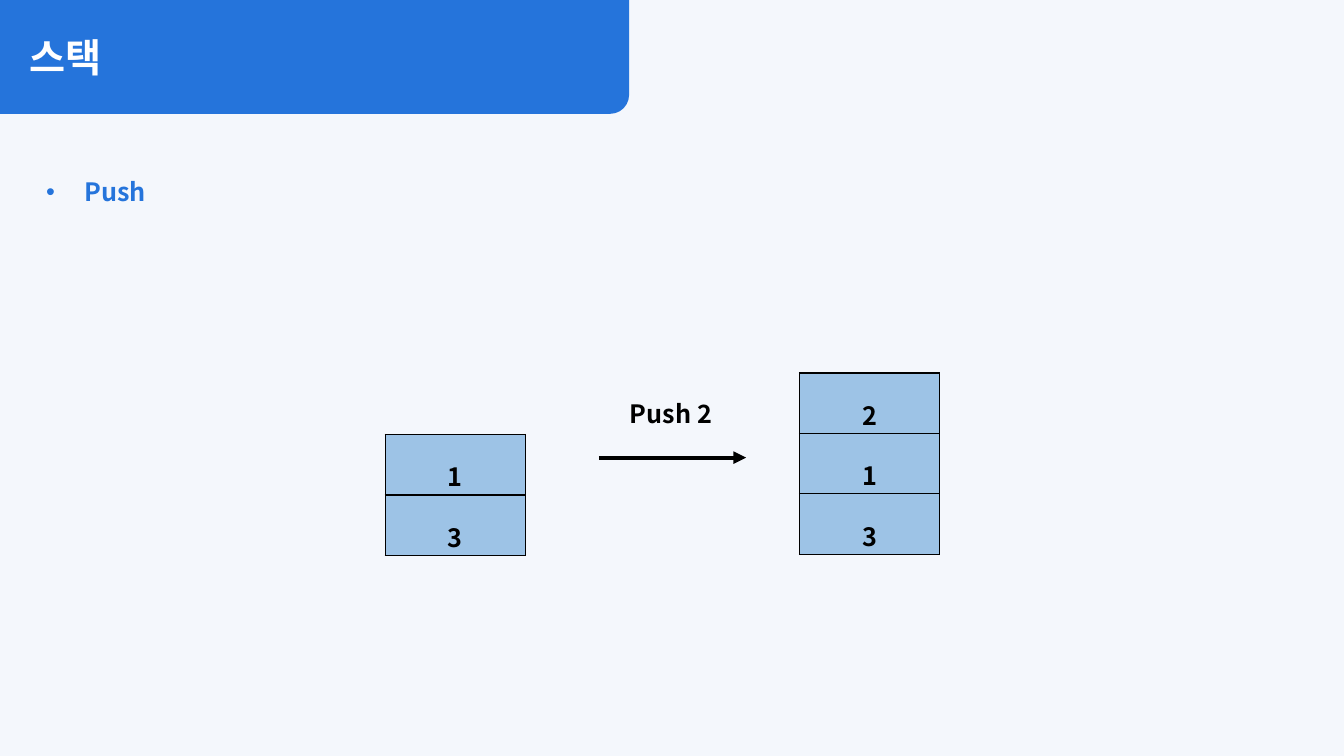
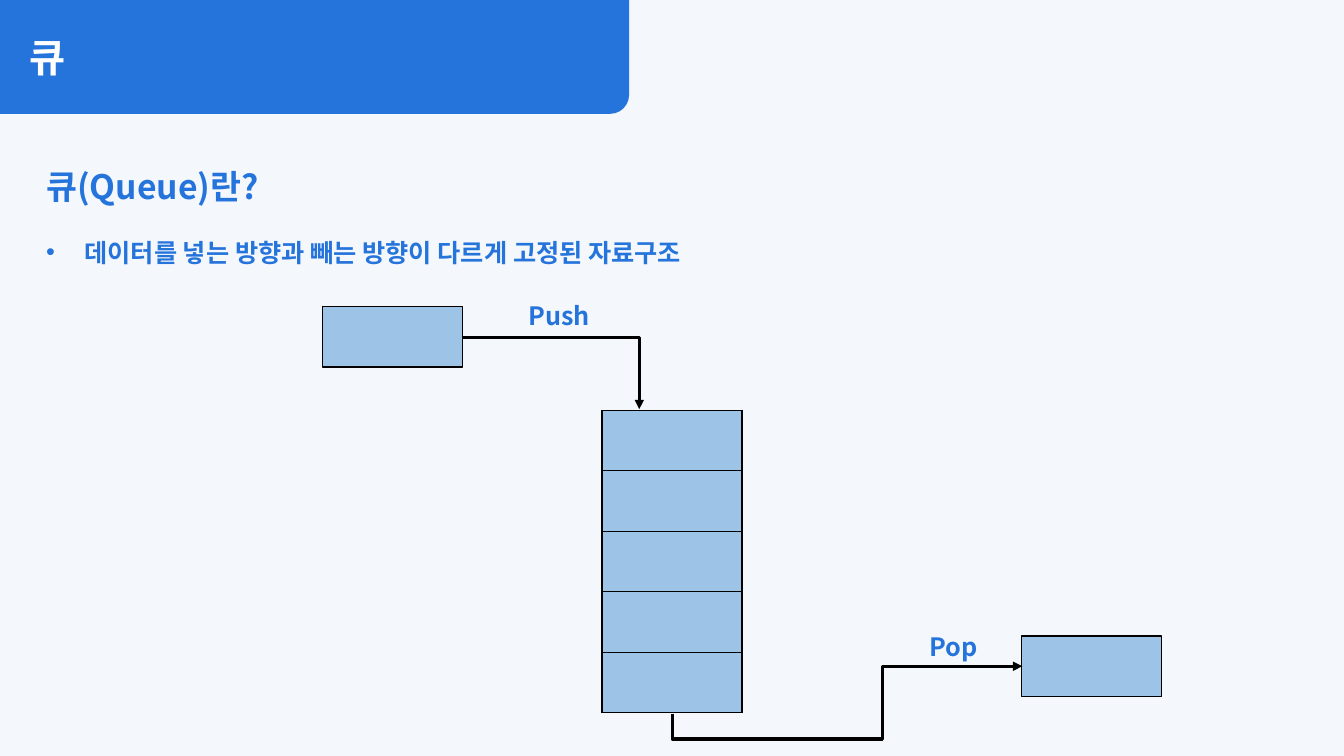
"""Build two slides on the stack and queue data structures."""
from lxml.etree import SubElement
from pptx import Presentation
from pptx.dml.color import RGBColor
from pptx.enum.shapes import MSO_CONNECTOR as LINK, MSO_SHAPE as SHAPE
from pptx.enum.text import MSO_ANCHOR as ANCHOR, PP_ALIGN as ALIGN
from pptx.oxml.ns import qn
from pptx.util import Inches, Pt

FONT = "Noto Sans CJK KR"
BLUE, CELL, BLACK, WHITE, PALE = "2574DB", "9DC3E6", "000000", "FFFFFF", "F4F7FC"
CELL_WIDTH, CELL_HEIGHT = 1.39, 0.6
BODY_LEFT, BODY_TOP, BODY_WIDTH = 0.36, 1.4, 12.61

STACK = {
    "title": "스택",
    "body": [{"text": "Push", "spacing": 2, "bullet": True}],
    "tables": [(7.93, 3.7, ["2", "1", "3"]), (3.82, 4.31, ["1", "3"])],
    "labels": [("Push 2", (5.96, 3.9, 1.39, 0.4), BLACK)],
    "arrows": [{"ends": (5.94, 4.54, 7.4, 4.54), "width": 3}],
}
QUEUE = {
    "title": "큐",
    "body": [
        {"text": "큐(Queue)란?", "size": 24, "spacing": 1.5},
        {"text": "데이터를 넣는 방향과 빼는 방향이 다르게 고정된 자료구조",
         "spacing": 2, "bullet": True},
    ],
    "tables": [(5.97, 4.07, [""] * 5)],
    "boxes": [(3.2, 3.04), (10.13, 6.31)],
    "labels": [("Push", (5.04, 2.93, 1.01, 0.41), BLUE),
               ("Pop", (8.95, 6.21, 1.01, 0.41), BLUE)],
    "arrows": [
        {"ends": (4.59, 3.35, 6.34, 4.06), "width": 2.25,
         "preset": "bentConnector3", "adjust": [100000]},
        {"ends": (8.64, 8.58, 8.17, 5.11), "width": 2.25, "turn": 90,
         "preset": "bentConnector4", "adjust": [-53600, 60000]},
    ],
}


def color(value):
    """Return the colour for a hex string."""
    return RGBColor.from_string(value)


def paint(target, value):
    """Give a shape, cell or background a solid fill."""
    target.fill.solid()
    target.fill.fore_color.rgb = color(value)


def write(para, text, ink=BLUE, size=18, spacing=1, align=ALIGN.LEFT, bullet=False):
    """Write one bold paragraph, with a hanging bullet if asked."""
    para.text = text
    para.alignment, para.line_spacing = align, spacing
    font = para.font
    font.name, font.size, font.bold = FONT, Pt(size), True
    font.color.rgb = color(ink)
    properties = para._p.pPr
    defaults = properties.find(qn("a:defRPr"))
    SubElement(defaults, qn("a:ea"), typeface=FONT)
    if bullet:
        properties.set("marL", str(Inches(0.38)))
        properties.set("indent", str(-Inches(0.38)))
        marks = [SubElement(properties, qn("a:buFont"), typeface="Arial"),
                 SubElement(properties, qn("a:buChar"), char="•")]
        for mark in marks:
            defaults.addprevious(mark)


def add_text(page, place, paragraphs):
    """Add a wrapping text box with one paragraph per entry."""
    frame = page.shapes.add_textbox(*map(Inches, place)).text_frame
    frame.word_wrap = True
    for index, entry in enumerate(paragraphs):
        write(frame.add_paragraph() if index else frame.paragraphs[0], **entry)


def add_box(page, kind, place, fill, outline=None):
    """Add a flat filled shape."""
    box = page.shapes.add_shape(kind, *map(Inches, place))
    box.shadow.inherit = False
    paint(box, fill)
    if outline:
        box.line.color.rgb = color(outline)
        box.line.width = Pt(1)
    else:
        box.line.fill.background()
    return box


def add_cells(page, left, top, values):
    """Add a one-column table with black borders."""
    place = left, top, CELL_WIDTH, CELL_HEIGHT * len(values)
    table = page.shapes.add_table(len(values), 1, *map(Inches, place)).table
    table.first_row = table.horz_banding = False
    for cell, value in zip(table.iter_cells(), values):
        if value:
            write(cell.text_frame.paragraphs[0], value, BLACK, 18, 1.5, ALIGN.CENTER)
        properties = cell._tc.get_or_add_tcPr()
        for side in ("lnL", "lnR", "lnT", "lnB"):
            border = SubElement(properties, qn(f"a:{side}"), w=str(Pt(1)))
            SubElement(SubElement(border, qn("a:solidFill")), qn("a:srgbClr"), val=BLACK)
        paint(cell, CELL)


def add_arrow(page, ends, width, preset=None, adjust=(), turn=0):
    """Add a straight or bent arrow."""
    kind = LINK.ELBOW if preset else LINK.STRAIGHT
    arrow = page.shapes.add_connector(kind, *map(Inches, ends))
    arrow.line.color.rgb = color(BLACK)
    arrow.line.width = Pt(width)
    properties = arrow.element.spPr
    SubElement(properties.find(qn("a:ln")), qn("a:tailEnd"), type="triangle")
    SubElement(properties, qn("a:effectLst"))
    if turn:
        properties.find(qn("a:xfrm")).set("rot", str(turn * 60000))
    if preset:
        geometry = properties.find(qn("a:prstGeom"))
        geometry.set("prst", preset)
        guides = geometry.find(qn("a:avLst"))
        for number, value in enumerate(adjust, 1):
            SubElement(guides, qn("a:gd"), name=f"adj{number}", fmla=f"val {value}")


def add_title(page, text):
    """Place the title on its blue band."""
    band = add_box(page, SHAPE.ROUND_1_RECTANGLE, (0, 0, 6.24, 1.13), BLUE)
    band.element.spPr.find(qn("a:xfrm")).set("flipV", "1")
    title = page.shapes.title
    title.element.addprevious(band.element)
    title.left, title.top, title.width, title.height = map(Inches, (0.19, 0.28, 5.85, 0.57))
    title.text_frame.vertical_anchor = ANCHOR.TOP
    write(title.text_frame.paragraphs[0], text, WHITE, 28)


def add_page(deck, content):
    """Add one slide from its content."""
    page = deck.slides.add_slide(deck.slide_layouts[5])
    paint(page.background, PALE)
    add_title(page, content["title"])
    body_height = 0.61 * len(content["body"])
    add_text(page, (BODY_LEFT, BODY_TOP, BODY_WIDTH, body_height), content["body"])
    for left, top, values in content["tables"]:
        add_cells(page, left, top, values)
    for left, top in content.get("boxes", []):
        add_box(page, SHAPE.RECTANGLE, (left, top, CELL_WIDTH, CELL_HEIGHT), CELL, BLACK)
    for arrow in content["arrows"]:
        add_arrow(page, **arrow)
    for text, place, ink in content["labels"]:
        add_text(page, place, [{"text": text, "ink": ink, "align": ALIGN.CENTER}])


def main():
    """Build and save the deck."""
    deck = Presentation()
    deck.slide_width, deck.slide_height = Inches(13.33), Inches(7.5)
    for content in (STACK, QUEUE):
        add_page(deck, content)
    deck.save("out.pptx")


if __name__ == "__main__":
    main()
